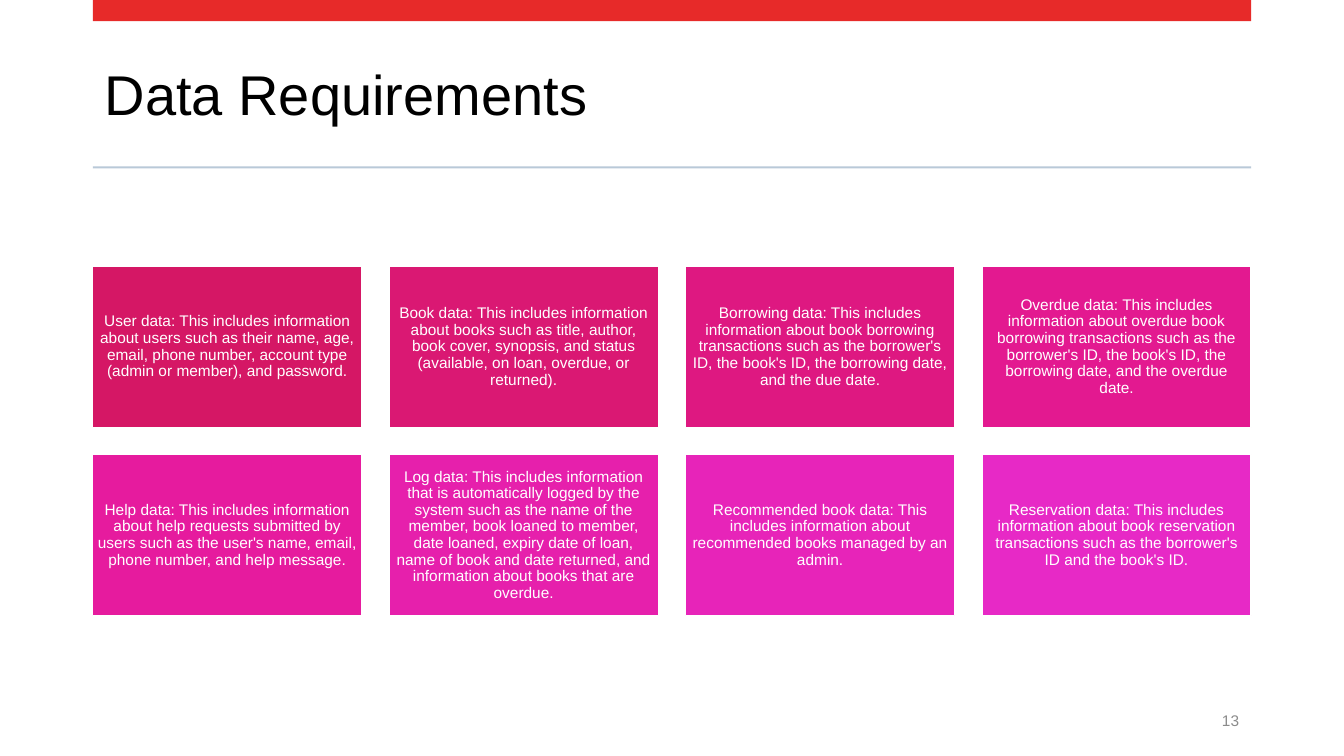
"""Build the Data Requirements slide: a title, two rules and a grid of eight cards."""
import pptx
import pptx.dml.color
import pptx.enum.shapes
import pptx.enum.text
import pptx.util

Inches, Pt = pptx.util.Inches, pptx.util.Pt
PP_ALIGN, MSO_ANCHOR = pptx.enum.text.PP_ALIGN, pptx.enum.text.MSO_ANCHOR

CARDS = [
    ("D51765", "User data: This includes information about users such as their name, age, "
               "email, phone number, account type (admin or member), and password."),
    ("DA1873", "Book data: This includes information about books such as title, author, "
               "book cover, synopsis, and status (available, on loan, overdue, or returned)."),
    ("DE1881", "Borrowing data: This includes information about book borrowing transactions "
               "such as the borrower's ID, the book's ID, the borrowing date, and the due date."),
    ("E31990", "Overdue data: This includes information about overdue book borrowing "
               "transactions such as the borrower's ID, the book's ID, the borrowing date, "
               "and the overdue date."),
    ("E61B9E", "Help data: This includes information about help requests submitted by users "
               "such as the user's name, email, phone number, and help message."),
    ("E620AC", "Log data: This includes information that is automatically logged by the system "
               "such as the name of the member, book loaned to member, date loaned, expiry date "
               "of loan, name of book and date returned, and information about books that are "
               "overdue."),
    ("E724B9", "Recommended book data: This includes information about recommended books "
               "managed by an admin."),
    ("E729C6", "Reservation data: This includes information about book reservation transactions "
               "such as the borrower's ID and the book's ID."),
]


def rgb(color):
    return pptx.dml.color.RGBColor.from_string(color)


class Deck:
    font = "Arial"
    text_margins = (0.12, 0.12, 0.12, 0.1)
    card_margins = (0.05,) * 4

    def __init__(self):
        self.prs = pptx.Presentation()
        self.prs.slide_width, self.prs.slide_height = Inches(13.33), Inches(7.5)

    def add_slide(self):
        self.slide = self.prs.slides.add_slide(self.prs.slide_layouts[5])

    def set_text(self, sp, text, size, color, align, margins):
        tf = sp.text_frame
        tf.text = text
        tf.word_wrap = True
        tf.auto_size = pptx.enum.text.MSO_AUTO_SIZE.NONE
        tf.vertical_anchor = MSO_ANCHOR.MIDDLE
        tf.margin_left, tf.margin_top, tf.margin_right, tf.margin_bottom = map(Inches, margins)
        p = tf.paragraphs[0]
        p.alignment, p.line_spacing = align, 0.9
        p.font.name, p.font.size, p.font.color.rgb = self.font, Pt(size), rgb(color)

    def title(self, text, *box):
        sp = self.slide.shapes.title
        sp.left, sp.top, sp.width, sp.height = map(Inches, box)
        self.set_text(sp, text, 40, "000000", PP_ALIGN.LEFT, self.text_margins)

    def text(self, text, *box):
        sp = self.slide.shapes.add_textbox(*map(Inches, box))
        self.set_text(sp, text, 11, "8C8C8C", PP_ALIGN.RIGHT, self.text_margins)

    def rect(self, fill, *box):
        sp = self.slide.shapes.add_shape(
            pptx.enum.shapes.MSO_SHAPE.RECTANGLE, *map(Inches, box))
        sp.shadow.inherit = False
        sp.fill.solid()
        sp.fill.fore_color.rgb = rgb(fill)
        sp.line.fill.background()
        return sp

    def card(self, fill, text, *box):
        sp = self.rect(fill, *box)
        sp.line.color.rgb, sp.line.width = rgb("FFFFFF"), Pt(1)
        self.set_text(sp, text, 11, "FFFFFF", PP_ALIGN.CENTER, self.card_margins)


def main():
    deck = Deck()
    deck.add_slide()
    left, width = 0.92, 11.49
    deck.title("Data Requirements", left, 0.37, width, 1.18)
    deck.rect("E72A29", left, 0, width, 0.21)
    deck.rect("B9C9D8", left, 1.65, width, 0.02)
    deck.text("13", 9.53, 6.95, 2.88, 0.4)

    card_w, card_h, gap = 2.67, 1.6, 0.27
    for i, (fill, text) in enumerate(CARDS):
        row, col = divmod(i, 4)
        deck.card(fill, text, left + col * (card_w + gap), 2.64 + row * (card_h + gap),
                  card_w, card_h)
    deck.prs.save("out.pptx")


if __name__ == "__main__":
    main()
